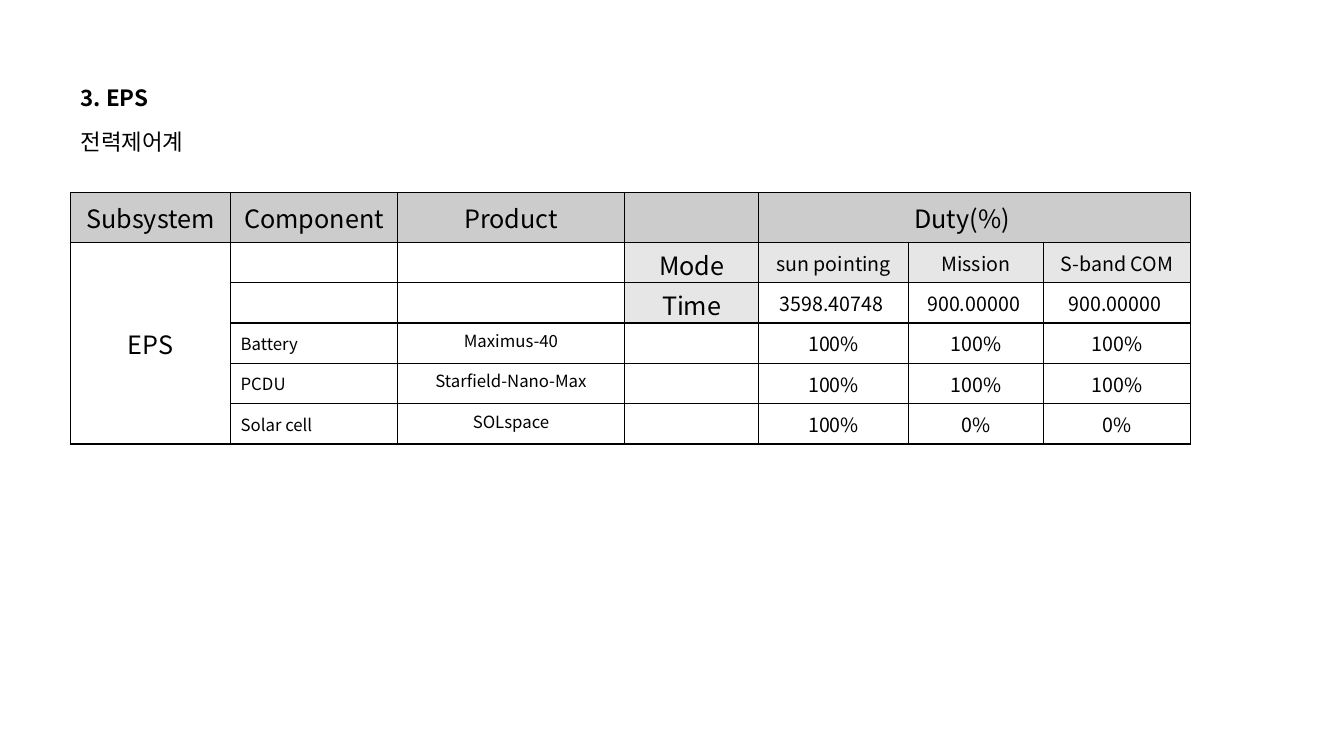
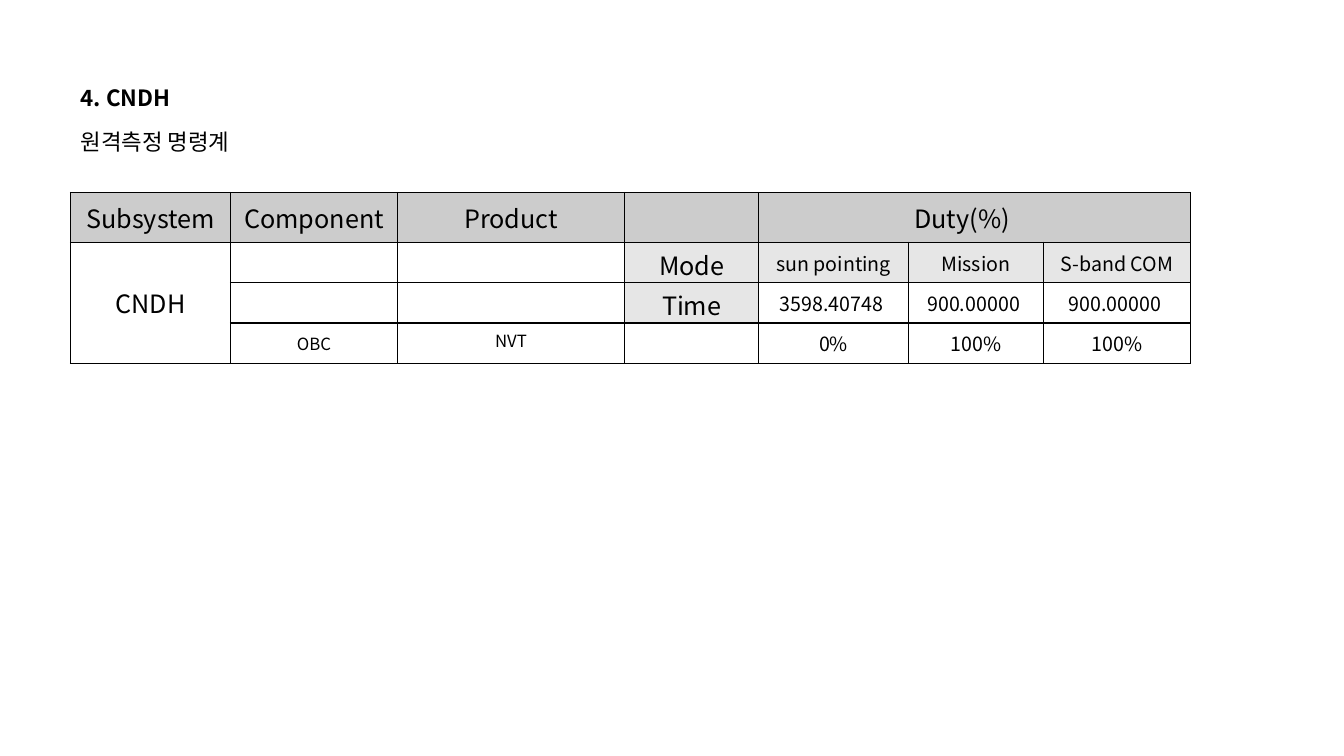
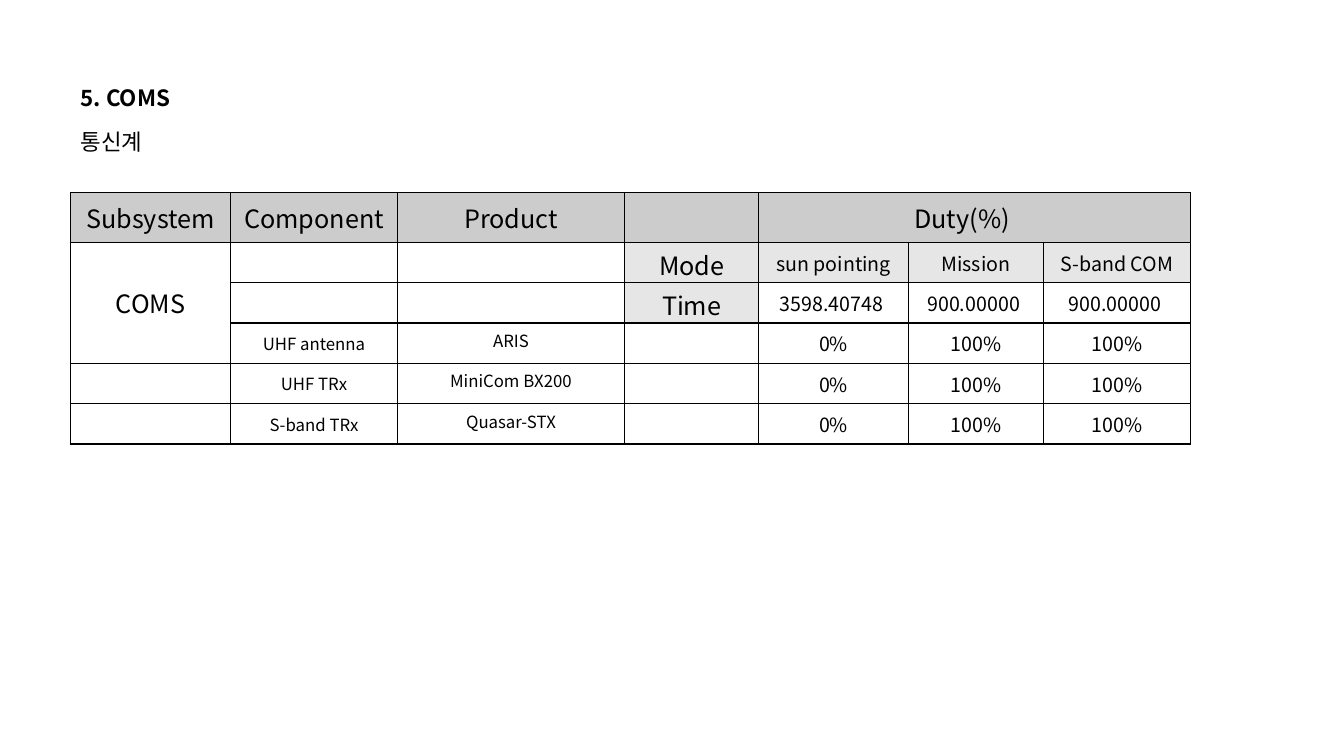
from lxml import etree
from pptx import Presentation
from pptx.dml.color import RGBColor
from pptx.enum.text import MSO_ANCHOR, MSO_AUTO_SIZE, PP_ALIGN
from pptx.oxml.ns import qn
from pptx.util import Pt

LEFT, CENTER, JUSTIFY = PP_ALIGN.LEFT, PP_ALIGN.CENTER, PP_ALIGN.JUSTIFY
TOP, MIDDLE = MSO_ANCHOR.TOP, MSO_ANCHOR.MIDDLE
GROW = MSO_AUTO_SIZE.SHAPE_TO_FIT_TEXT
TITLE_ONLY = 5

COLORS = {"text": "000000", "border": "000000", "header": "CCCCCC", "label": "E6E6E6"}
FONT = "Noto Sans CJK KR"
MARGIN_LEFT = 50.4
COLUMN_WIDTHS = [114.3, 119.3, 162.1, 96, 106.8, 96.5, 105]
HEADER_HEIGHT, ROW_HEIGHT = 35.6, 28.8
MODE_COLUMN = 3
SIDE_INSET, EDGE_INSET = 7.2, 3.6

SHARED_ROWS = [
    ["Subsystem", "Component", "Product", "", "Duty(%)　", "", ""],
    ["", "", "", "Mode", "sun pointing", "Mission", "S-band COM"],
    ["", "", "", "Time", "3598.40748 ", "900.00000 ", "900.00000 "],
]

SUBSYSTEMS = [
    {
        "number": 3, "name": "EPS", "korean": "전력제어계", "align": LEFT, "span": 5,
        "parts": [
            ["Battery", "Maximus-40", "100%", "100%", "100%"],
            ["PCDU", "Starfield-Nano-Max", "100%", "100%", "100%"],
            ["Solar cell", "SOLspace", "100%", "0%", "0%"],
        ],
    },
    {
        "number": 4, "name": "CNDH", "korean": "원격측정 명령계", "align": CENTER, "span": 3,
        "parts": [["OBC", "NVT", "0%", "100%", "100%"]],
    },
    {
        "number": 5, "name": "COMS", "korean": "통신계", "align": CENTER, "span": 3,
        "parts": [
            ["UHF antenna", "ARIS", "0%", "100%", "100%"],
            ["UHF TRx", "MiniCom BX200", "0%", "100%", "100%"],
            ["S-band TRx", "Quasar-STX", "0%", "100%", "100%"],
        ],
    },
]


class DutyDeck:
    def __init__(self):
        self.deck = Presentation()
        self.deck.slide_width, self.deck.slide_height = Pt(960), Pt(540)
        self.page = None

    def new_page(self):
        self.page = self.deck.slides.add_slide(self.deck.slide_layouts[TITLE_ONLY])

    def style(self, para, size, align, bold=False):
        para.alignment = align
        font = para.font
        font.size, font.bold, font.name = Pt(size), bold, FONT
        font.color.rgb = RGBColor.from_string(COLORS["text"])
        defaults = para._p.pPr.find(qn("a:defRPr"))
        etree.SubElement(defaults, qn("a:ea"), typeface=FONT)

    def title(self, heading, subtitle):
        box = self.page.shapes.title
        box.left, box.top, box.width, box.height = Pt(MARGIN_LEFT), Pt(53.3), Pt(758), Pt(124.5)
        frame = box.text_frame
        frame.text = f"{heading}\n{subtitle}"
        frame.word_wrap, frame.auto_size, frame.vertical_anchor = True, GROW, TOP
        for para, bold in zip(frame.paragraphs, (True, False)):
            para.line_spacing, para.space_after = 1.15, Pt(10)
            self.style(para, 16, JUSTIFY, bold)

    def border(self, cell):
        properties = cell._tc.get_or_add_tcPr()
        for index, side in enumerate(("lnL", "lnR", "lnT", "lnB")):
            line = etree.Element(qn(f"a:{side}"), w=str(Pt(1)))
            fill = etree.SubElement(line, qn("a:solidFill"))
            etree.SubElement(fill, qn("a:srgbClr"), val=COLORS["border"])
            properties.insert(index, line)

    def cell(self, cell, text, size, align=CENTER, anchor=MIDDLE, fill=None, insets=(0, 0, 0)):
        """Format one table cell; insets are side, top and bottom."""
        cell.text = text
        cell.vertical_anchor = anchor
        side, top, bottom = (Pt(inset) for inset in insets)
        cell.margin_left = cell.margin_right = side
        cell.margin_top, cell.margin_bottom = top, bottom
        if fill:
            cell.fill.solid()
            cell.fill.fore_color.rgb = RGBColor.from_string(COLORS[fill])
        else:
            cell.fill.background()
        self.style(cell.text_frame.paragraphs[0], size, align)
        self.border(cell)

    def cell_format(self, row, column, part_align):
        """Choose the look of a cell from its place in the table."""
        padded = (SIDE_INSET, EDGE_INSET, EDGE_INSET)
        if row == 0:
            return {"size": 18, "fill": "header", "insets": padded if column < MODE_COLUMN else (0, 0, 0)}
        if column == 0:
            return {"size": 18, "insets": padded}
        if column == MODE_COLUMN and row < 3:
            return {"size": 18, "fill": "label", "anchor": TOP, "insets": (SIDE_INSET, 2.7, 0)}
        if column > MODE_COLUMN:
            return {"size": 14, "fill": "label" if row == 1 else None}
        if column == 1:
            return {"size": 12, "align": part_align, "insets": padded}
        return {"size": 12, "anchor": TOP, "insets": padded}

    def duty_table(self, name, parts, span, part_align):
        rows = SHARED_ROWS + [["", part, product, "", *duties] for part, product, *duties in parts]
        heights = [HEADER_HEIGHT] + [ROW_HEIGHT] * (len(rows) - 1)
        table = self.page.shapes.add_table(
            len(rows), len(COLUMN_WIDTHS), Pt(MARGIN_LEFT), Pt(137.5),
            Pt(sum(COLUMN_WIDTHS)), Pt(sum(heights))).table
        table.first_row = table.horz_banding = False
        for column, width in zip(table.columns, COLUMN_WIDTHS):
            column.width = Pt(width)
        for row, height in zip(table.rows, heights):
            row.height = Pt(height)
        for r, texts in enumerate(rows):
            for c, text in enumerate(texts):
                shown = name if (r, c) == (1, 0) else text
                self.cell(table.cell(r, c), shown, **self.cell_format(r, c, part_align))
        table.cell(0, MODE_COLUMN + 1).merge(table.cell(0, len(COLUMN_WIDTHS) - 1))
        table.cell(1, 0).merge(table.cell(span, 0))


def main():
    duty = DutyDeck()
    for item in SUBSYSTEMS:
        duty.new_page()
        duty.title(f"{item['number']}. {item['name']}", item["korean"])
        duty.duty_table(item["name"], item["parts"], item["span"], item["align"])
    duty.deck.save("out.pptx")


if __name__ == "__main__":
    main()
